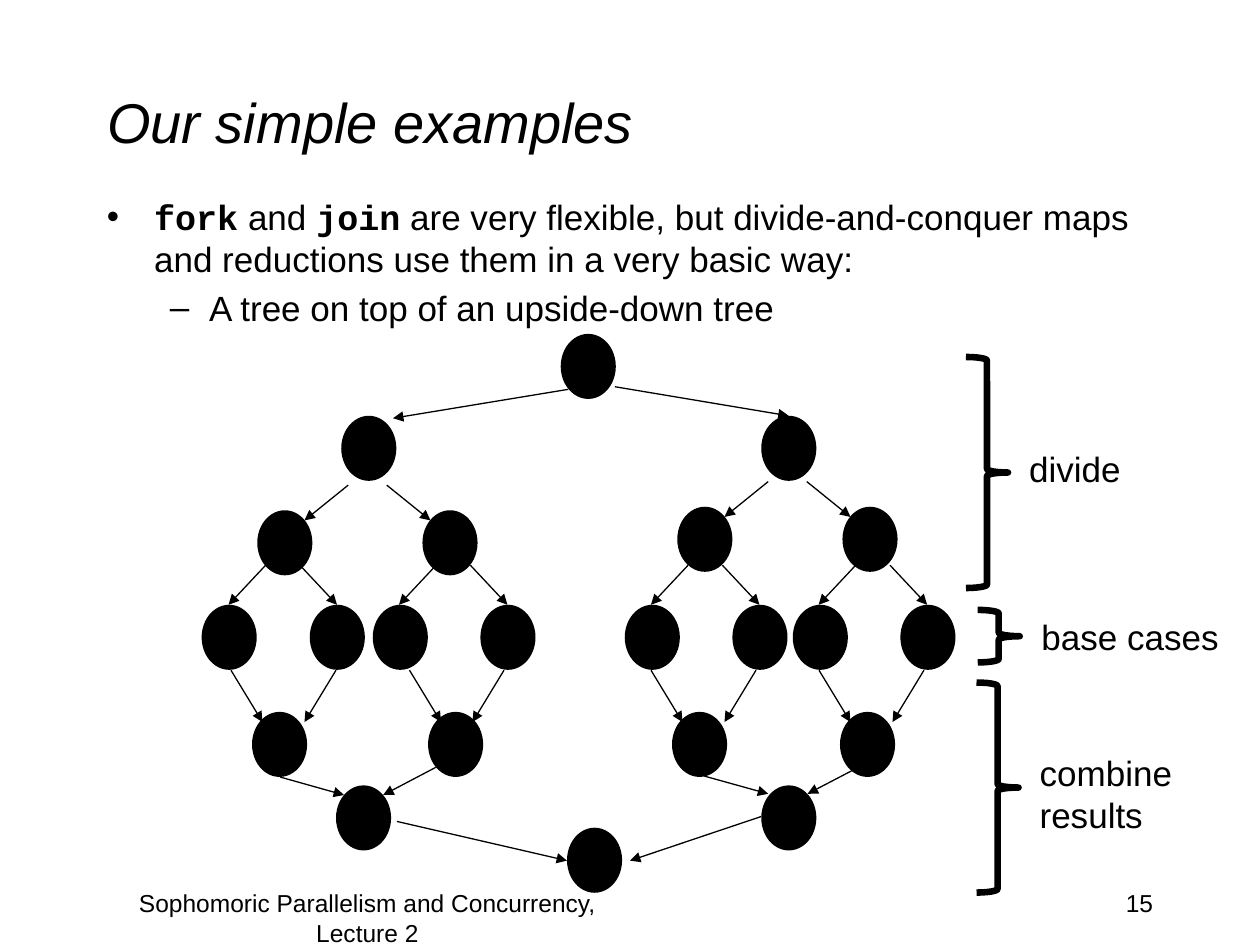
from pptx import Presentation
from pptx.util import Pt
from pptx.dml.color import RGBColor
from pptx.enum.shapes import MSO_SHAPE as Shape, MSO_CONNECTOR as Line
from pptx.enum.text import PP_ALIGN as Align, MSO_ANCHOR as Anchor
from pptx.oxml.ns import qn
from lxml.etree import SubElement

BLACK = RGBColor(0, 0, 0)
SANS, MONO = "Arial", "Courier New"
DOT_W, DOT_H = 31.5, 37.2

deck = Presentation()
deck.slide_width, deck.slide_height = Pt(720), Pt(540)
slide = deck.slides.add_slide(deck.slide_layouts[5])
shapes = slide.shapes


def write(text, box=None, at=None, size=20, italic=False, align=Align.LEFT,
          anchor=Anchor.TOP, wrap=True, bullets=()):
    """Write lines of text; parts between backquotes are bold code."""
    if box is None:
        box = shapes.add_textbox(0, 0, 0, 0)
    box.left, box.top, box.width, box.height = [Pt(n) for n in at]
    frame = box.text_frame
    frame.word_wrap, frame.vertical_anchor = wrap, anchor
    for i, line in enumerate(text.split("\n")):
        par = frame.add_paragraph() if i else frame.paragraphs[0]
        par.alignment = align
        for j, part in enumerate(line.split("`")):
            if not part:
                continue
            run = par.add_run()
            run.text = part
            font = run.font
            font.name = MONO if j % 2 else SANS
            font.size, font.bold, font.italic = Pt(size), j % 2 == 1, italic
            font.color.rgb = BLACK
        if bullets:
            mark, left, hang = bullets[i]
            par.level = i
            par.space_before = Pt(size * 0.2)
            props = par._p.get_or_add_pPr()
            props.set("marL", str(Pt(left)))
            props.set("indent", str(-Pt(hang)))
            SubElement(props, qn("a:buFont")).set("typeface", SANS)
            SubElement(props, qn("a:buChar")).set("char", mark)


# Title, bullets and footer
write("Our simple examples", box=shapes.title, at=(54, 24, 612, 90),
      size=32, italic=True, anchor=Anchor.MIDDLE)
write("`fork` and `join` are very flexible, but divide-and-conquer maps "
      "and reductions use them in a very basic way:\n"
      "A tree on top of an upside-down tree",
      at=(54, 108, 612, 84), bullets=[("•", 27, 27), ("–", 58.5, 22.5)])
write("15", at=(516, 504, 150, 36), size=14, align=Align.RIGHT)
write("Sophomoric Parallelism and Concurrency, Lecture 2",
      at=(48, 504, 324, 36), size=14, align=Align.CENTER)

# Tree nodes: top of each row, left edges
rows = [
    (190.8, [320.4]),
    (237.6, [195, 435]),
    (291.6, [147, 241.4]),
    (289.6, [387, 481.4]),
    (345.6, [115.2, 177, 213, 274.5, 357, 418.5, 453, 514.5]),
    (406.8, [144, 244.6, 384, 480]),
    (448.8, [192, 435]),
    (473, [324]),
]
for top, lefts in rows:
    for left in lefts:
        dot = shapes.add_shape(Shape.OVAL, Pt(left), Pt(top),
                               Pt(DOT_W), Pt(DOT_H))
        dot.shadow.inherit = False
        dot.fill.solid()
        dot.fill.fore_color.rgb = BLACK
        dot.line.fill.background()

# Arrows: start x, start y, end x, end y
arrows = [
    (324.7, 222.5, 224.6, 239), (351.4, 221, 450.7, 237.6),
    (160, 444, 196.6, 454.3), (249, 438.5, 219, 454.3),
    (402.5, 443.5, 439, 453.6), (491.8, 437.8, 461.5, 453.6),
    (226.8, 469.4, 324, 491.8), (435, 466.6, 360, 491.8),
]
for mid, top in [(210, 277.2), (450, 275.2)]:
    for side in (-1, 1):
        arrows.append((mid + 11 * side, top, mid + 36 * side, top + 20.2))
for mid in (161.6, 259, 403, 498.8):
    for side in (-1, 1):
        arrows.append((mid + 9.8 * side, 323, mid + 31 * side, 345.6))
for mid in (162, 261, 402, 498):
    half = 27 if mid == 261 else 30
    for side in (-1, 1):
        arrows.append((mid + half * side, 383,
                       mid + (half - 18) * side, 412.6))
for ends in arrows:
    link = shapes.add_connector(Line.STRAIGHT, *[Pt(n) for n in ends])
    link.line.color.rgb = BLACK
    link.line.width = Pt(0.75)
    SubElement(link.line._get_or_add_ln(), qn("a:tailEnd")).set(
        "type", "triangle")
    SubElement(link._element.spPr, qn("a:effectLst"))

# Braces with their labels
braces = [
    ("divide", (552, 204, 24, 132), (581, 252, 73, 31.5), False),
    ("base cases", (558.7, 348.5, 24, 30), (588, 348, 117, 31.5), False),
    ("combine results", (558, 390, 24, 120), (587, 426, 97, 55.5), True),
]
for label, spot, place, wrap in braces:
    brace = shapes.add_shape(Shape.LEFT_BRACE, *[Pt(n) for n in spot])
    brace.rotation = 180
    brace.shadow.inherit = False
    brace.fill.background()
    brace.line.color.rgb = BLACK
    brace.line.width = Pt(3.75)
    write(label, at=place, wrap=wrap)

deck.save("out.pptx")
